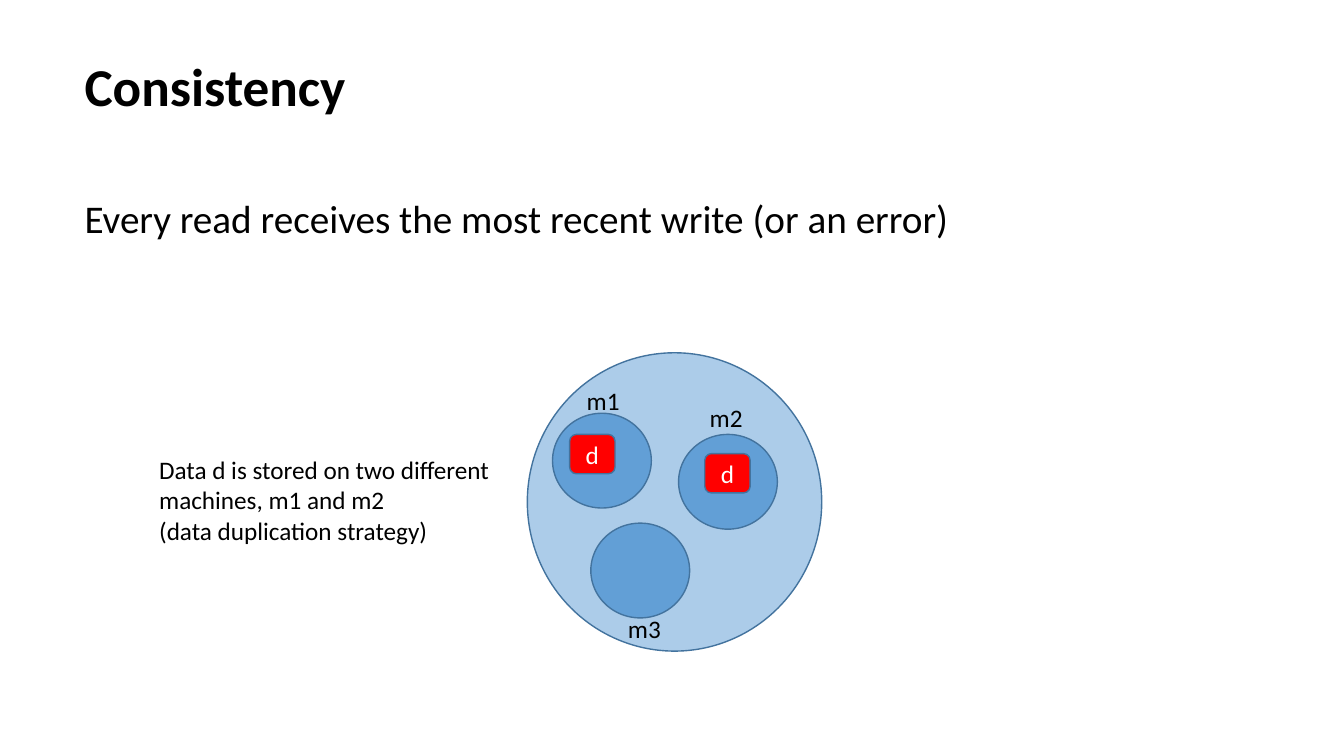
import pptx
import pptx.dml.color
import pptx.enum.shapes
import pptx.enum.text
import pptx.oxml
import pptx.oxml.ns
import pptx.util

Inches = pptx.util.Inches
RGBColor = pptx.dml.color.RGBColor
Shape = pptx.enum.shapes.MSO_SHAPE
Anchor = pptx.enum.text.MSO_ANCHOR
Align = pptx.enum.text.PP_ALIGN

FONT = "Calibri"
BLACK = RGBColor(0x00, 0x00, 0x00)
WHITE = RGBColor(0xFF, 0xFF, 0xFF)
BLUE = RGBColor(0x5B, 0x9B, 0xD5)
OUTLINE = RGBColor(0x43, 0x73, 0x9E)
RED = RGBColor(0xFF, 0x00, 0x00)

MACHINE_SIZE = (0.98, 0.94)
DATA_SIZE = (0.45, 0.39)
LABEL_SIZE = (0.95, 0.4)

# Offsets from the cluster's corner: name, circle, label, data item
MACHINES = [
    ("m1", (0.25, 0.6), (0.49, 0.27), (0.42, 0.81)),
    ("m2", (1.5, 0.81), (1.71, 0.44), (1.76, 1.0)),
    ("m3", (0.63, 1.69), (0.9, 2.54), None),
]


def write_text(frame, text, size=18, color=BLACK, bold=False,
               align=Align.LEFT, anchor=Anchor.TOP, spacing=None, before=0):
    """Fill a text frame with one paragraph; each newline is a line break."""
    frame.word_wrap = True
    frame.vertical_anchor = anchor
    para = frame.paragraphs[0]
    para.alignment = align
    para.line_spacing = spacing
    para.space_before = pptx.util.Pt(before)
    for index, line in enumerate(text.split("\n")):
        if index:
            para.add_line_break()
        span = para.add_run()
        span.text = line
        span.font.name = FONT
        span.font.size = pptx.util.Pt(size)
        span.font.bold = bold
        span.font.color.rgb = color


def add_text(page, box, text, **style):
    textbox = page.shapes.add_textbox(*map(Inches, box))
    write_text(textbox.text_frame, text, **style)


def add_outlined(page, kind, box, fill, opacity=100):
    shape = page.shapes.add_shape(kind, *map(Inches, box))
    shape.shadow.inherit = False
    shape.fill.solid()
    shape.fill.fore_color.rgb = fill
    shape.line.color.rgb = OUTLINE
    shape.line.width = pptx.util.Pt(1)
    if opacity < 100:
        color = shape.fill._xPr.find(".//" + pptx.oxml.ns.qn("a:srgbClr"))
        alpha = pptx.oxml.parse_xml(
            f'<a:alpha {pptx.oxml.ns.nsdecls("a")} val="{opacity * 1000}"/>')
        color.append(alpha)
    return shape


def add_heading(page, box):
    """Title with the definition below it."""
    left, top, width, height = box
    add_text(page, (left, top, 5.21, 1.07), "Consistency",
             size=38, bold=True, anchor=Anchor.MIDDLE)
    add_text(page, (left, top + 1.62, width, height - 1.62),
             "Every read receives the most recent write (or an error)",
             size=28, spacing=0.9, before=10)


def add_cluster(page, box):
    """Large circle holding the machines and their data items."""
    left, top = box[:2]

    def place(offset, size):
        return (left + offset[0], top + offset[1], *size)

    add_outlined(page, Shape.OVAL, box, BLUE, opacity=50)
    for name, circle, label, data in MACHINES:
        add_outlined(page, Shape.OVAL, place(circle, MACHINE_SIZE), BLUE, opacity=90)
        if data:
            item = add_outlined(page, Shape.ROUNDED_RECTANGLE,
                                place(data, DATA_SIZE), RED)
            write_text(item.text_frame, "d", color=WHITE,
                       align=Align.CENTER, anchor=Anchor.MIDDLE)
        add_text(page, place(label, LABEL_SIZE), name)


def main():
    deck = pptx.Presentation()
    deck.slide_width = Inches(13.33)
    deck.slide_height = Inches(7.5)
    page = deck.slides.add_slide(deck.slide_layouts[6])

    add_heading(page, (0.74, 0.31, 11.5, 6.38))
    add_cluster(page, (5.23, 3.5, 2.92, 2.96))
    # Explanation beside the cluster
    add_text(page, (1.48, 4.46, 3.62, 1.01),
             "Data d is stored on two different machines, m1 and m2\n"
             "(data duplication strategy)")
    deck.save("out.pptx")


if __name__ == "__main__":
    main()
